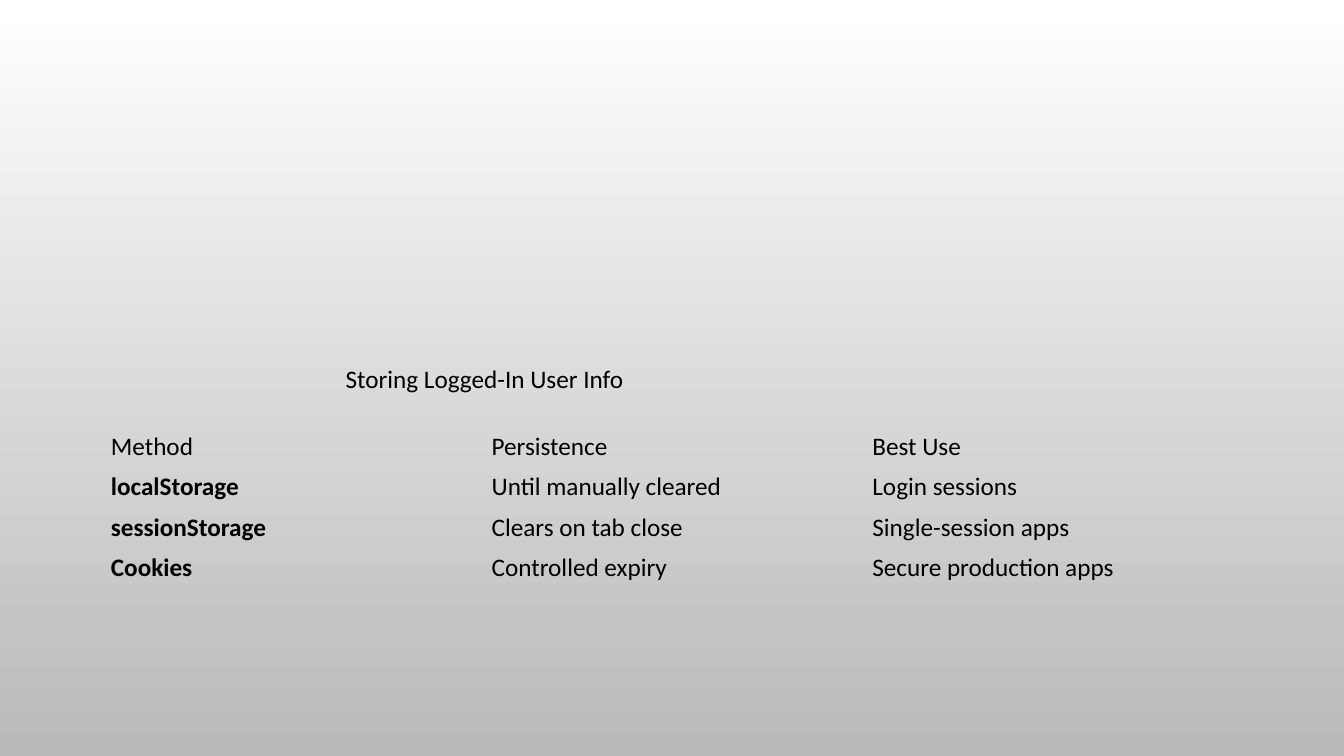
from dataclasses import dataclass

from pptx import Presentation
from pptx import util as u
from pptx.dml import color
from pptx.enum import text


@dataclass(frozen=True)
class Theme:
    font: str = "Calibri"
    size: u.Pt = u.Pt(18)
    ink: color.RGBColor = color.RGBColor(0, 0, 0)
    background_top: color.RGBColor = color.RGBColor(0xFF, 0xFF, 0xFF)
    background_bottom: color.RGBColor = color.RGBColor(0xB9, 0xB9, 0xB9)


theme = Theme()
NO_GRID_STYLE = "{2D5ABB26-0587-4C30-8999-92F81FD0307C}"
STORAGE_METHODS = [
    ("Method", "Persistence", "Best Use"),
    ("localStorage", "Until manually cleared", "Login sessions"),
    ("sessionStorage", "Clears on tab close", "Single-session apps"),
    ("Cookies", "Controlled expiry", "Secure production apps"),
]


def write(frame, wording, bold=False):
    paragraph = frame.paragraphs[0]
    paragraph.text = wording
    paragraph.font.name = theme.font
    paragraph.font.size = theme.size
    paragraph.font.bold = bold
    paragraph.font.color.rgb = theme.ink


presentation = Presentation()
presentation.slide_width = u.Inches(13.33)
presentation.slide_height = u.Inches(7.5)
slide = presentation.slides.add_slide(presentation.slide_layouts[6])

# Background: light at the top, grey at the bottom
background = slide.background.fill
background.gradient()
background.gradient_angle = 270
stops = background.gradient_stops
stops[0].color.rgb = theme.background_top
stops[1].color.rgb = theme.background_bottom

# Title
title = slide.shapes.add_textbox(
    u.Inches(3.33), u.Inches(3.55), u.Inches(6.67), u.Inches(0.71))
title.text_frame.word_wrap = True
title.text_frame.auto_size = text.MSO_AUTO_SIZE.SHAPE_TO_FIT_TEXT
write(title.text_frame, "Storing Logged-In User Info")

# Table of storage methods
table_shape = slide.shapes.add_table(
    len(STORAGE_METHODS), len(STORAGE_METHODS[0]),
    u.Inches(1), u.Inches(4.23), u.Inches(11.33), u.Inches(1.6))
table = table_shape.table
table.first_row = False
table.horz_banding = False
table._tbl.tblPr[0].text = NO_GRID_STYLE

for row_index, row in enumerate(STORAGE_METHODS):
    for column_index, wording in enumerate(row):
        cell = table.cell(row_index, column_index)
        cell.fill.background()
        cell.vertical_anchor = text.MSO_ANCHOR.MIDDLE
        write(cell.text_frame, wording, bold=row_index > 0 and column_index == 0)

presentation.save("out.pptx")
